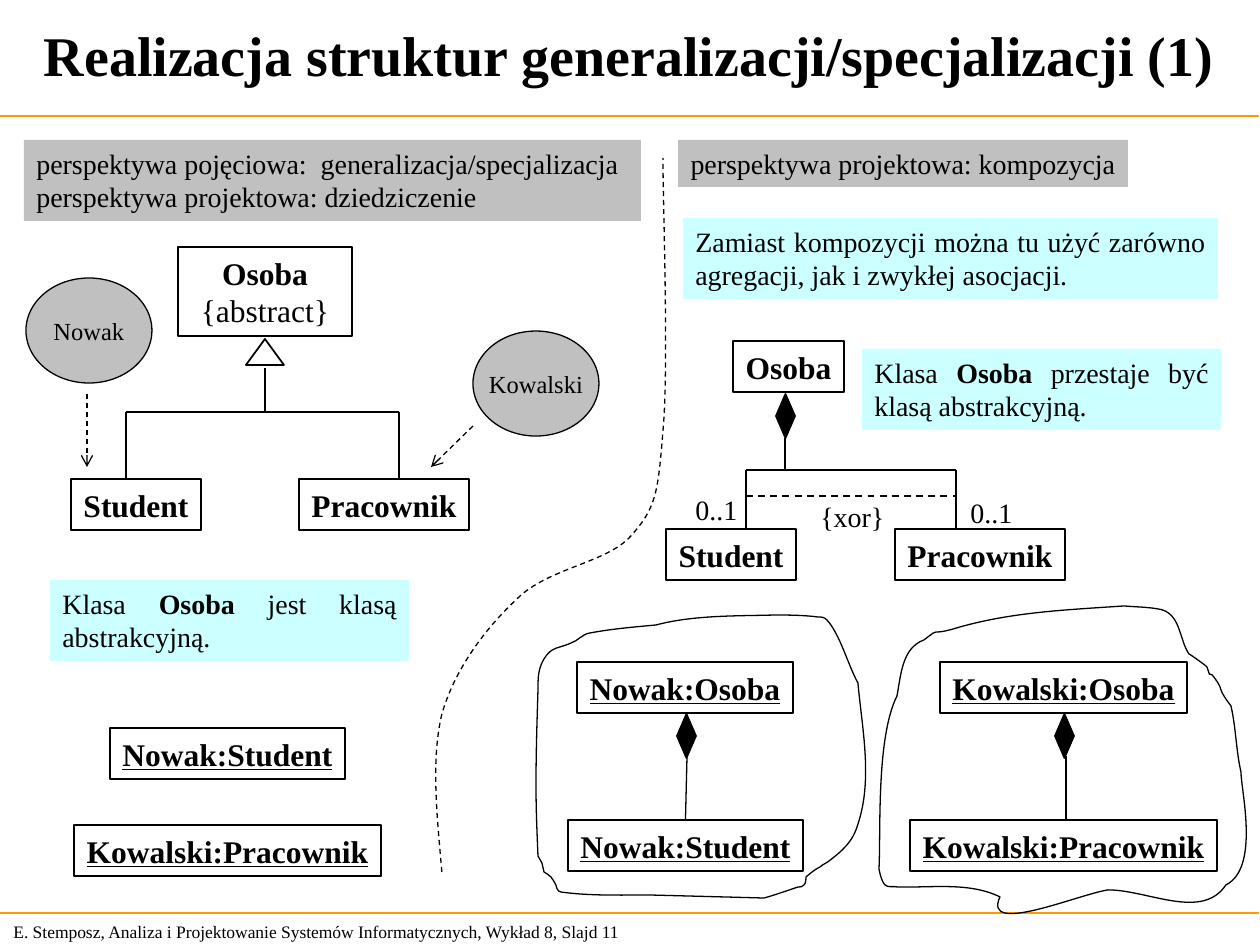
"""Builds a slide on realising generalisation structures in UML."""
from lxml.etree import SubElement
from pptx import Presentation
from pptx.dml.color import RGBColor
from pptx.enum.dml import MSO_LINE
from pptx.enum.shapes import MSO_CONNECTOR, MSO_SHAPE
from pptx.enum.text import MSO_ANCHOR, MSO_AUTO_SIZE, PP_ALIGN
from pptx.oxml.ns import qn
from pptx.util import Pt

PX = 914400 / 126
BLACK = RGBColor(0x00, 0x00, 0x00)
WHITE = RGBColor(0xFF, 0xFF, 0xFF)
GREY = RGBColor(0xC0, 0xC0, 0xC0)
CYAN = RGBColor(0xCC, 0xFF, 0xFF)
ORANGE = RGBColor(0xFF, 0x99, 0x00)
FONT = "Times New Roman"

DIVIDER = [
    (442, 872), (437, 815), (431, 760), (442, 714), (455, 669), (485, 629),
    (517, 599), (548, 568), (607, 563), (631, 536), (656, 508), (658, 494),
    (663, 431), (669, 368), (663, 204), (663, 158)]
NOWAK_CLOUD = [
    (556, 885), (554, 882), (553, 879), (551, 877), (549, 874), (546, 874),
    (544, 872), (543, 869), (543, 866), (542, 863), (541, 861), (539, 858),
    (538, 856), (537, 832), (536, 809), (536, 785), (536, 753), (537, 722),
    (538, 690), (538, 678), (538, 669), (544, 659), (552, 646), (558, 649),
    (571, 643), (578, 641), (582, 634), (590, 633), (611, 629), (634, 627),
    (656, 625), (693, 615), (738, 616), (774, 615), (788, 615), (803, 615),
    (818, 617), (822, 617), (824, 617), (827, 620), (840, 634), (848, 665),
    (858, 683), (862, 728), (873, 779), (858, 824), (853, 842), (842, 851),
    (829, 861), (827, 863), (823, 864), (820, 867), (815, 869), (806, 877),
    (806, 877), (806, 879), (806, 883), (804, 885), (803, 887), (800, 887),
    (798, 887), (786, 891), (775, 895), (764, 898), (726, 897), (688, 896),
    (650, 895), (620, 895), (590, 896), (561, 892), (557, 892), (556, 885),
    (556, 885)]
KOWALSKI_CLOUD = [
    (1000, 897), (969, 882), (934, 888), (897, 887), (893, 886), (888, 888),
    (885, 885), (881, 881), (879, 869), (879, 869), (881, 832), (876, 738),
    (897, 696), (901, 675), (902, 648), (924, 640), (944, 625), (925, 638),
    (960, 627), (1014, 612), (1066, 610), (1124, 606), (1135, 607), (1147, 607),
    (1158, 609), (1181, 612), (1179, 640), (1189, 654), (1191, 655), (1205, 665),
    (1207, 667), (1213, 685), (1205, 663), (1218, 683), (1220, 685), (1220, 688),
    (1221, 690), (1223, 696), (1231, 706), (1231, 706), (1236, 728), (1236, 750),
    (1241, 772), (1241, 790), (1260, 868), (1226, 885), (1202, 921), (1148, 890),
    (1108, 890), (1077, 895), (982, 936), (1000, 897)]


def px(*lengths):
    """Turn pixel lengths into EMU."""
    return [round(n * PX) for n in lengths]


def write(tf, paragraphs, size=16, bold=False, underline=None,
          align=PP_ALIGN.LEFT, anchor=MSO_ANCHOR.TOP, wrap=True,
          fit=MSO_AUTO_SIZE.SHAPE_TO_FIT_TEXT):
    """Fill a text frame; a paragraph is a string or a list of (text, bold)."""
    tf.word_wrap, tf.auto_size, tf.vertical_anchor = wrap, fit, anchor
    for i, runs in enumerate(paragraphs):
        p = tf.add_paragraph() if i else tf.paragraphs[0]
        p.alignment = align
        for text, strong in [(runs, bold)] if isinstance(runs, str) else runs:
            r = p.add_run()
            r.text = text
            r.font.name, r.font.size = FONT, Pt(size)
            r.font.bold, r.font.underline = strong, underline
            r.font.color.rgb = BLACK


def style(sp, fill=None, width=None, dash=False):
    """Set the fill and outline of a shape and drop its shadow."""
    sp.shadow.inherit = False
    if fill is None:
        sp.fill.background()
    else:
        sp.fill.solid()
        sp.fill.fore_color.rgb = fill
    if width is None:
        sp.line.fill.background()
    else:
        sp.line.color.rgb, sp.line.width = BLACK, Pt(width)
    if dash:
        sp.line.dash_style = MSO_LINE.DASH


def shape(s, kind, box, fill=None, width=None):
    """Add a preset shape."""
    sp = s.shapes.add_shape(kind, *px(*box))
    style(sp, fill, width)
    return sp


def class_box(s, box, *paragraphs, width=1, underline=None):
    """Add a UML class or object rectangle of fixed size."""
    sp = shape(s, MSO_SHAPE.RECTANGLE, box, width=width)
    tf = sp.text_frame
    tf.margin_left, tf.margin_right = px(4, 4)
    write(tf, paragraphs, size=18, bold=True, underline=underline,
          align=PP_ALIGN.CENTER, anchor=MSO_ANCHOR.MIDDLE, wrap=False,
          fit=MSO_AUTO_SIZE.NONE)
    return sp


def object_box(s, box, name):
    """Add an object rectangle with an underlined name."""
    return class_box(s, box, name, width=0.75, underline=True)


def note(s, box, *paragraphs, fill=CYAN, **fmt):
    """Add a filled text panel."""
    sp = shape(s, MSO_SHAPE.RECTANGLE, box, fill)
    write(sp.text_frame, paragraphs, **fmt)


def instance(s, x, y, name):
    """Add an ellipse that stands for an instance."""
    sp = shape(s, MSO_SHAPE.OVAL, (x, y, 126, 105), GREY, 0.75)
    write(sp.text_frame, [name], size=14, align=PP_ALIGN.CENTER,
          anchor=MSO_ANCHOR.MIDDLE, wrap=False, fit=MSO_AUTO_SIZE.NONE)


def label(s, box, text, **fmt):
    """Add a plain text box."""
    write(s.shapes.add_textbox(*px(*box)).text_frame, [text], **fmt)


def line(s, *ends, color=BLACK, width=1, dash=False, arrow=False):
    """Add a straight connector."""
    c = s.shapes.add_connector(MSO_CONNECTOR.STRAIGHT, *px(*ends))
    c.line.color.rgb, c.line.width = color, Pt(width)
    if dash:
        c.line.dash_style = MSO_LINE.DASH
    if arrow:
        SubElement(c.line._get_or_add_ln(), qn("a:tailEnd"), type="arrow")
    SubElement(c.element.spPr, qn("a:effectLst"))
    return c


def curve(s, points, close=True, dash=False):
    """Add an outline of cubic curves: a start, then three points each."""
    builder = s.shapes.build_freeform(*points[0], scale=PX)
    builder.add_line_segments(points[1:], close=close)
    sp = builder.convert_to_shape()
    style(sp, width=0.75, dash=dash)
    segments = list(sp.element.iter(qn("a:lnTo")))
    for first, second, third in zip(*[iter(segments)] * 3):
        first.tag = qn("a:cubicBezTo")
        for extra in (second, third):
            first.append(extra[0])
            extra.getparent().remove(extra)


def frame(s):
    """Add the title, the rules and the footer."""
    title = s.shapes.title
    title.left, title.top, title.width, title.height = px(0, -4, 1259, 116)
    write(title.text_frame, ["Realizacja struktur generalizacji/specjalizacji (1)"],
          size=32, bold=True, align=PP_ALIGN.CENTER, anchor=MSO_ANCHOR.MIDDLE,
          fit=MSO_AUTO_SIZE.NONE)
    for y in (116, 913):
        line(s, -1, y, 1259, y, color=ORANGE, width=0.75)
    label(s, (1, 914, 660, 34), "E. Stemposz, Analiza i Projektowanie Systemów "
          "Informatycznych, Wykład 8, Slajd 11", size=10, anchor=MSO_ANCHOR.MIDDLE)


def inheritance(s):
    """Draw the left half: inheritance."""
    note(s, (24, 140, 617, 81), "perspektywa pojęciowa:  generalizacja/specjalizacja",
         "perspektywa projektowa: dziedziczenie", fill=GREY)
    class_box(s, (178, 247, 174, 89), "Osoba", [("{abstract}", False)])
    shape(s, MSO_SHAPE.ISOSCELES_TRIANGLE, (246, 339, 38, 26), WHITE, 1)
    class_box(s, (71, 479, 130, 51), "Student")
    class_box(s, (299, 479, 170, 51), "Pracownik")
    line(s, 265, 368, 265, 412)
    line(s, 126, 412, 399, 412)
    for x in (126, 399):
        line(s, x, 412, x, 479)
    instance(s, 26, 278, "Nowak")
    instance(s, 473, 331, "Kowalski")
    for ends in ((87, 394, 87, 467), (473, 426, 431, 467)):
        line(s, *ends, width=0.75, dash=True, arrow=True)
    note(s, (50, 580, 359, 81), [("Klasa ", False), ("Osoba ", True),
         ("jest klasą abstrakcyjną.", False)], align=PP_ALIGN.JUSTIFY)
    object_box(s, (110, 728, 235, 51), "Nowak:Student")
    object_box(s, (74, 825, 307, 51), "Kowalski:Pracownik")


def composition(s):
    """Draw the right half: composition."""
    note(s, (678, 140, 450, 47), "perspektywa projektowa: kompozycja", fill=GREY,
         align=PP_ALIGN.CENTER, wrap=False)
    note(s, (683, 218, 535, 81), "Zamiast kompozycji można tu użyć zarówno "
         "agregacji, jak i zwykłej asocjacji.", align=PP_ALIGN.JUSTIFY)
    note(s, (862, 349, 359, 81), [("Klasa ", False), ("Osoba ", True),
         ("przestaje być klasą abstrakcyjną.", False)], align=PP_ALIGN.JUSTIFY)
    class_box(s, (733, 341, 111, 51), "Osoba")
    class_box(s, (666, 529, 130, 51), "Student")
    class_box(s, (895, 529, 170, 51), "Pracownik")
    line(s, 785, 438, 785, 470)
    line(s, 746, 470, 956, 470)
    line(s, 746, 496, 956, 496, dash=True)
    for x in (746, 956):
        line(s, x, 470, x, 529)
    label(s, (683, 486, 67, 47), "0..1", wrap=False)
    label(s, (958, 489, 67, 47), "0..1", wrap=False)
    label(s, (808, 493, 89, 47), "{xor}", wrap=False)
    curve(s, NOWAK_CLOUD)
    curve(s, KOWALSKI_CLOUD)
    object_box(s, (577, 662, 216, 51), "Nowak:Osoba")
    student = object_box(s, (568, 820, 235, 51), "Nowak:Student")
    object_box(s, (940, 662, 247, 51), "Kowalski:Osoba")
    object_box(s, (910, 820, 307, 51), "Kowalski:Pracownik")
    line(s, 687, 757, 685, 820, width=0.75).end_connect(student, 0)
    line(s, 1066, 756, 1066, 820, width=0.75)
    for x, y in ((776, 394), (677, 714), (1055, 714)):
        shape(s, MSO_SHAPE.DIAMOND, (x, y, 19, 44), BLACK, 1)


def main():
    """Build and save the slide."""
    prs = Presentation()
    prs.slide_width, prs.slide_height = px(1260, 945)
    s = prs.slides.add_slide(prs.slide_layouts[5])
    frame(s)
    inheritance(s)
    curve(s, DIVIDER, close=False, dash=True)
    composition(s)
    prs.save("out.pptx")


if __name__ == "__main__":
    main()
